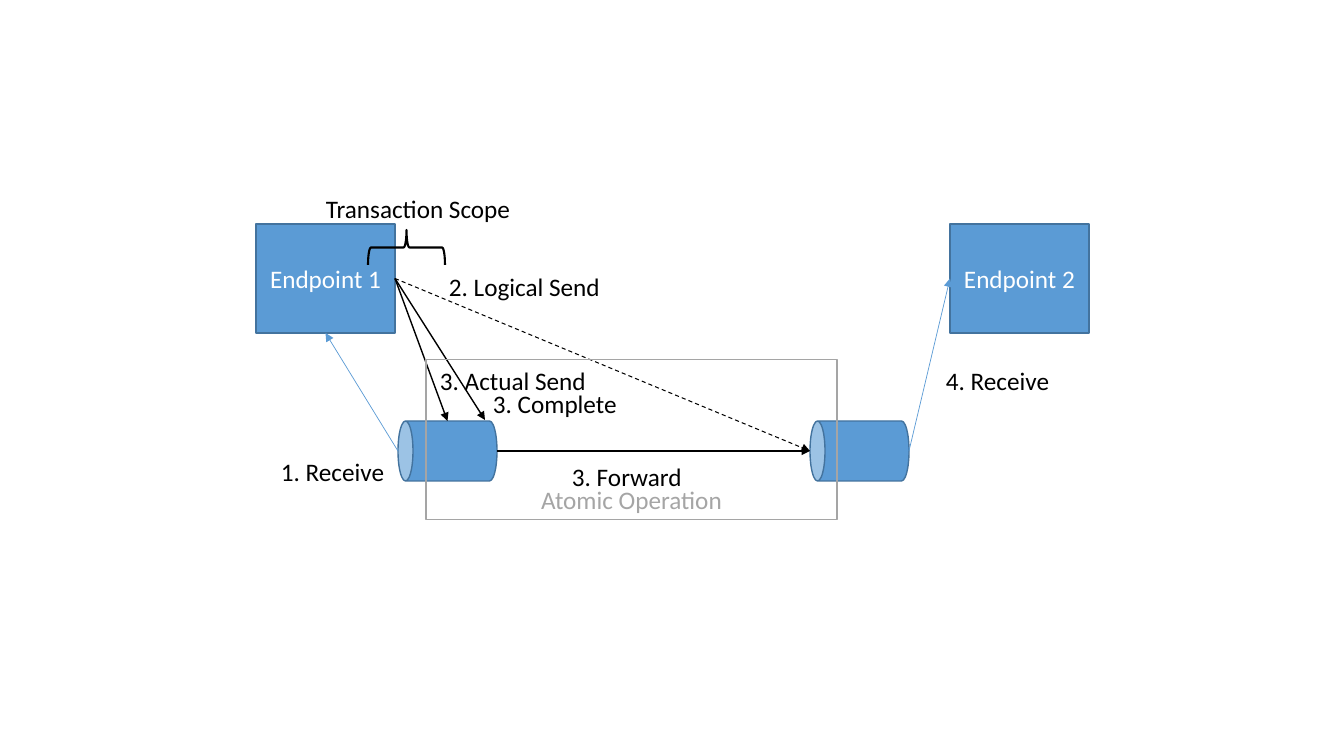
import pptx
import pptx.dml.color
import pptx.enum.dml
import pptx.enum.shapes
import pptx.enum.text
import pptx.oxml
import pptx.oxml.ns
import pptx.util

RGBColor = pptx.dml.color.RGBColor
BLUE = RGBColor(0x5B, 0x9B, 0xD5)
DARK_BLUE = RGBColor(0x43, 0x73, 0x9E)
BLACK = RGBColor(0, 0, 0)
WHITE = RGBColor(0xFF, 0xFF, 0xFF)
GRAY = RGBColor(0xA5, 0xA5, 0xA5)
SHAPES = pptx.enum.shapes.MSO_SHAPE
ANCHOR = pptx.enum.text.MSO_ANCHOR
DASH = pptx.enum.dml.MSO_LINE.DASH
EMU_PER_PX = 914400 / 100.8


def emu(*pixels):
    return [pptx.util.Emu(round(value * EMU_PER_PX)) for value in pixels]


def write(frame, text, color):
    frame.text = text
    font = frame.paragraphs[0].runs[0].font
    font.name, font.size = "Calibri", pptx.util.Pt(18)
    font.color.rgb = color


def add_outline(slide, kind, box, line_color, width, fill=None):
    outline = slide.shapes.add_shape(kind, *emu(*box))
    outline.shadow.inherit = False
    if fill is None:
        outline.fill.background()
    else:
        outline.fill.solid()
        outline.fill.fore_color.rgb = fill
    outline.line.color.rgb = line_color
    outline.line.width = pptx.util.Pt(width)
    return outline


def add_turned(slide, kind, box, angle, *style):
    """Turn a preset by a quarter so that it fills the given box."""
    left, top, width, height = box
    shift = (width - height) / 2
    turned = add_outline(slide, kind, (left + shift, top - shift, height, width), *style)
    turned.rotation = angle


def add_captioned(slide, box, caption, color, anchor, *style):
    block = add_outline(slide, SHAPES.RECTANGLE, box, *style)
    write(block.text_frame, caption, color)
    block.text_frame.vertical_anchor = anchor
    block.text_frame.paragraphs[0].alignment = pptx.enum.text.PP_ALIGN.CENTER


def add_endpoint(slide, box, caption):
    add_captioned(slide, box, caption, WHITE, ANCHOR.MIDDLE, DARK_BLUE, 1, BLUE)


def add_queue(slide, box):
    add_turned(slide, SHAPES.CAN, box, 270, DARK_BLUE, 1, BLUE)


def add_label(slide, box, text):
    label = slide.shapes.add_textbox(*emu(*box))
    label.text_frame.word_wrap = False
    label.text_frame.auto_size = pptx.enum.text.MSO_AUTO_SIZE.SHAPE_TO_FIT_TEXT
    write(label.text_frame, text, BLACK)


def add_step(slide, start, end, color, width, label_box, text, dash=None):
    arrow = slide.shapes.add_connector(
        pptx.enum.shapes.MSO_CONNECTOR.STRAIGHT, *emu(*start, *end))
    arrow.line.color.rgb = color
    arrow.line.width = pptx.util.Pt(width)
    if dash is not None:
        arrow.line.dash_style = dash
    head = pptx.oxml.parse_xml(
        f'<a:tailEnd {pptx.oxml.ns.nsdecls("a")} type="triangle"/>')
    arrow.line._get_or_add_ln().append(head)
    arrow._element.spPr.append(
        pptx.oxml.parse_xml(f'<a:effectLst {pptx.oxml.ns.nsdecls("a")}/>'))
    add_label(slide, label_box, text)


def add_scope(slide, box):
    left, top, width, height = box
    add_turned(slide, SHAPES.LEFT_BRACE, (left + 52, top + 42, 77, 35), 90, BLACK, 1.5)
    add_label(slide, (left, top, width, 40), "Transaction Scope")


def add_message_flow(slide, box):
    left, top, width, height = box
    endpoint_w, endpoint_h, queue_w, queue_h = 139, 109, 99, 60
    right = left + width - endpoint_w
    sender = (left + endpoint_w, top + endpoint_h / 2)
    queue_top = top + height - queue_h
    queue_mid = queue_top + queue_h / 2
    local, remote = left + 142, left + 554

    # Endpoints and their queues
    add_queue(slide, (local, queue_top, queue_w, queue_h))
    add_endpoint(slide, (left, top, endpoint_w, endpoint_h), "Endpoint 1")
    add_endpoint(slide, (right, top, endpoint_w, endpoint_h), "Endpoint 2")
    add_queue(slide, (remote, queue_top, queue_w, queue_h))

    # Numbered steps, each an arrow with its label
    add_step(slide, (local, queue_mid), (left + endpoint_w / 2, top + endpoint_h),
             BLUE, 0.5, (left + 15, top + 227, 125, 40), "1. Receive")
    add_step(slide, sender, (remote, queue_mid), BLACK, 0.75,
             (left + 183, top + 42, 173, 40), "2. Logical Send", DASH)
    add_step(slide, sender, (local + queue_w / 2, queue_top), BLACK, 1,
             (left + 174, top + 136, 168, 40), "3. Actual Send")
    add_step(slide, sender, (left + 229, queue_top - 1), BLACK, 1,
             (left + 227, top + 159, 145, 40), "3. Complete")
    add_step(slide, (local + queue_w, queue_mid), (remote, queue_mid), BLACK, 1,
             (left + 306, top + 232, 131, 40), "3. Forward")
    add_step(slide, (remote + queue_w, queue_mid), (right, sender[1]), BLUE, 0.5,
             (left + 680, top + 136, 125, 40), "4. Receive")


presentation = pptx.Presentation()
presentation.slide_width, presentation.slide_height = emu(1344, 756)
slide = presentation.slides.add_slide(presentation.slide_layouts[6])

add_message_flow(slide, (256, 224, 833, 257))
add_scope(slide, (316, 188, 207, 77))
# Frame around the atomic part
add_captioned(slide, (426, 360, 411, 160), "Atomic Operation", GRAY,
              ANCHOR.BOTTOM, GRAY, 0.75)

presentation.save("out.pptx")
